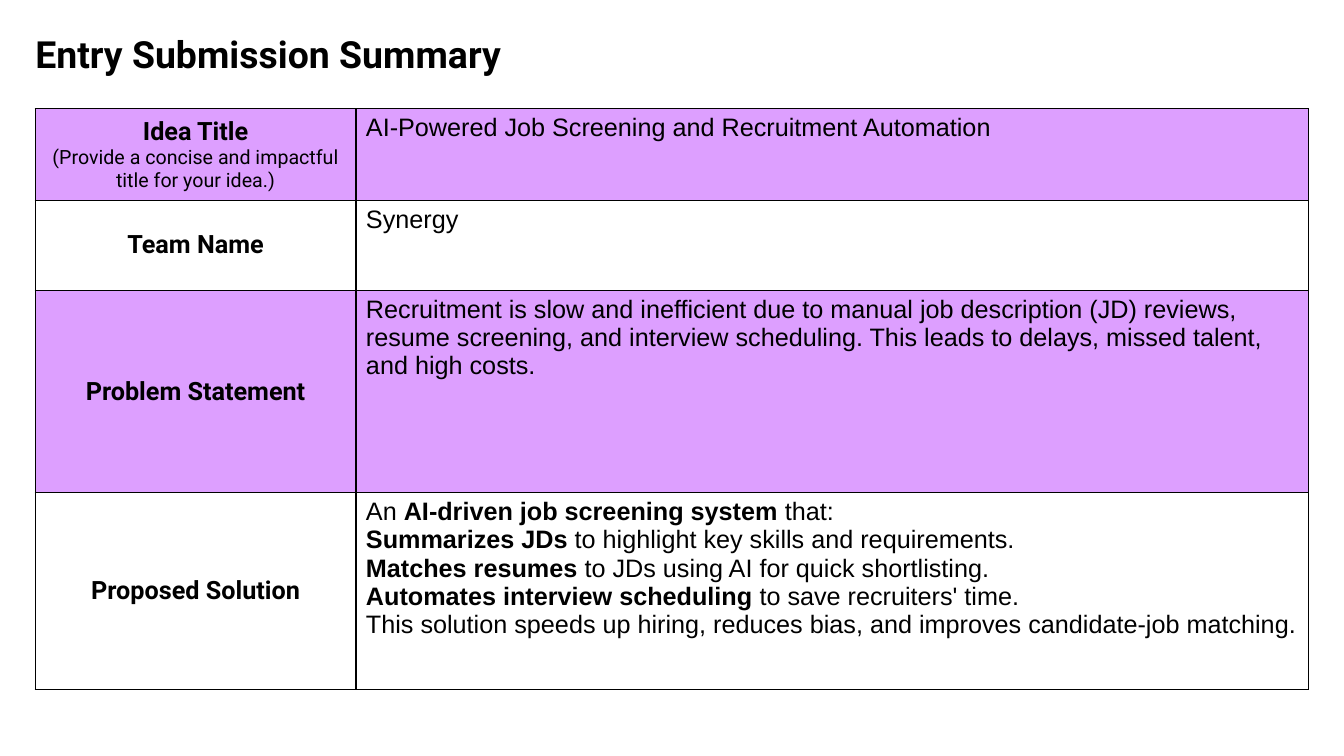
from dataclasses import dataclass

from lxml import etree
from pptx import Presentation
from pptx.dml.color import RGBColor
from pptx.enum.text import MSO_ANCHOR, MSO_AUTO_SIZE, PP_ALIGN
from pptx.oxml.ns import qn
from pptx.util import Inches, Pt

TOP, MIDDLE = MSO_ANCHOR.TOP, MSO_ANCHOR.MIDDLE
LEFT, CENTER = PP_ALIGN.LEFT, PP_ALIGN.CENTER
NO_AUTOFIT = MSO_AUTO_SIZE.NONE
TITLE_ONLY = 5


@dataclass(frozen=True)
class Theme:
    ink: str = "000000"
    violet: str = "DD9FFF"
    white: str = "FFFFFF"
    heading_font: str = "Roboto"
    body_font: str = "Arial"
    title_size: float = 26.7
    body_size: float = 18
    hint_size: float = 14
    border_width: float = 1


THEME = Theme()

COLUMN_WIDTHS = (3.18, 9.45)
# Row height, label, hint under the label, answer paragraphs as (text, bold) runs
ENTRY_ROWS = [
    (0.91, "Idea Title", "(Provide a concise and impactful title for your idea.)",
     [[("AI-Powered Job Screening and Recruitment Automation", False)]]),
    (0.89, "Team Name", "", [[("Synergy", False)]]),
    (2.01, "Problem Statement", "",
     [[("Recruitment is slow and inefficient due to manual job description (JD) "
        "reviews, resume screening, and interview scheduling. This leads to delays, "
        "missed talent, and high costs.", False)]]),
    (1.95, "Proposed Solution", "",
     [[("An ", False), ("AI-driven job screening system", True), (" that:", False)],
      [("Summarizes JDs", True), (" to highlight key skills and requirements.", False)],
      [("Matches resumes", True), (" to JDs using AI for quick shortlisting.", False)],
      [("Automates interview scheduling", True), (" to save recruiters' time.", False)],
      [("This solution speeds up hiring, reduces bias, and improves "
        "candidate-job matching.", False)]]),
]


def add_text(paragraph, text, *, font=THEME.body_font, size=THEME.body_size,
             bold=False, align=LEFT):
    paragraph.alignment = align
    run = paragraph.add_run()
    run.text = text
    run.font.name = font
    run.font.size = Pt(size)
    run.font.bold = bold
    run.font.color.rgb = RGBColor.from_string(THEME.ink)


def style_cell(cell, fill, anchor):
    cell.vertical_anchor = anchor
    properties = cell._tc.get_or_add_tcPr()
    # Borders come before the fill in the cell properties
    for side in ("a:lnL", "a:lnR", "a:lnT", "a:lnB"):
        line = etree.SubElement(properties, qn(side), w=str(Pt(THEME.border_width)))
        solid = etree.SubElement(line, qn("a:solidFill"))
        etree.SubElement(solid, qn("a:srgbClr"), val=THEME.ink)
    cell.fill.solid()
    cell.fill.fore_color.rgb = RGBColor.from_string(fill)


def add_heading(slide, left, top, width, height):
    heading = slide.shapes.title
    heading.left, heading.top = Inches(left), Inches(top)
    heading.width, heading.height = Inches(width), Inches(height)
    frame = heading.text_frame
    frame.word_wrap = True
    frame.auto_size = NO_AUTOFIT
    frame.vertical_anchor = TOP
    frame.margin_left = frame.margin_top = frame.margin_bottom = 0
    frame.margin_right = Inches(0.13)
    paragraph = frame.paragraphs[0]
    paragraph.line_spacing = 0.8
    add_text(paragraph, "Entry Submission Summary", font=THEME.heading_font,
             size=THEME.title_size, bold=True)


def fill_label(cell, label, hint):
    paragraph = cell.text_frame.paragraphs[0]
    add_text(paragraph, label, font=THEME.heading_font, bold=True, align=CENTER)
    if hint:
        paragraph.add_line_break()
        add_text(paragraph, hint, font=THEME.heading_font, size=THEME.hint_size,
                 align=CENTER)


def fill_answer(cell, answer):
    frame = cell.text_frame
    for index, runs in enumerate(answer):
        paragraph = frame.add_paragraph() if index else frame.paragraphs[0]
        for text, bold in runs:
            add_text(paragraph, text, bold=bold)


def add_entry_table(slide, left, top):
    width = sum(COLUMN_WIDTHS)
    height = sum(row[0] for row in ENTRY_ROWS)
    entry = slide.shapes.add_table(len(ENTRY_ROWS), len(COLUMN_WIDTHS), Inches(left),
                                   Inches(top), Inches(width), Inches(height)).table
    entry.first_row = entry.horz_banding = False
    for column, column_width in zip(entry.columns, COLUMN_WIDTHS):
        column.width = Inches(column_width)

    for index, (row_height, label, hint, answer) in enumerate(ENTRY_ROWS):
        entry.rows[index].height = Inches(row_height)
        fill = THEME.white if index % 2 else THEME.violet
        label_cell, answer_cell = entry.cell(index, 0), entry.cell(index, 1)
        style_cell(label_cell, fill, MIDDLE)
        style_cell(answer_cell, fill, TOP)
        fill_label(label_cell, label, hint)
        fill_answer(answer_cell, answer)


def main():
    deck = Presentation()
    deck.slide_width, deck.slide_height = Inches(13.33), Inches(7.5)
    slide = deck.slides.add_slide(deck.slide_layouts[TITLE_ONLY])
    add_heading(slide, 0.35, 0.39, 12.29, 0.93)
    add_entry_table(slide, 0.35, 1.08)
    deck.save("out.pptx")


if __name__ == "__main__":
    main()
